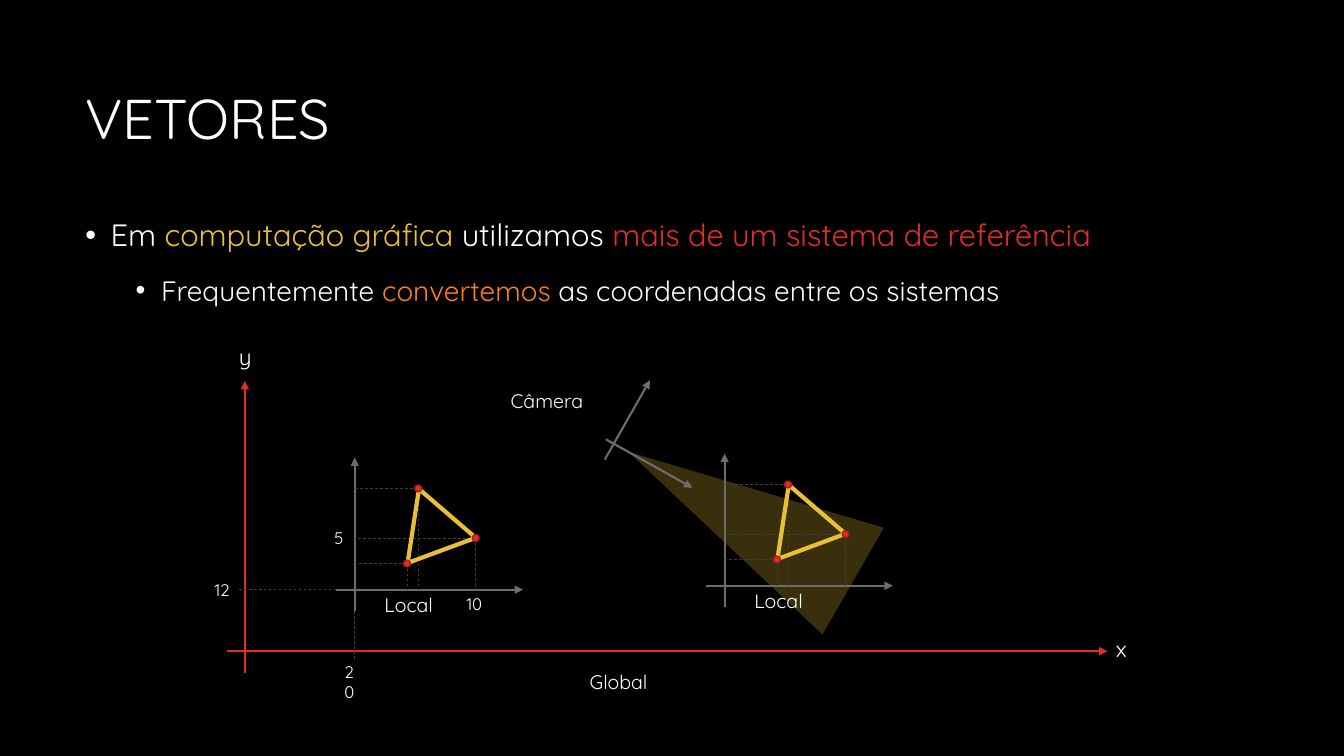
from lxml import etree
from pptx import Presentation
from pptx.dml.color import RGBColor
from pptx.enum.dml import MSO_LINE
from pptx.enum.shapes import MSO_CONNECTOR, MSO_SHAPE
from pptx.enum.text import MSO_ANCHOR, MSO_AUTO_SIZE, PP_ALIGN
from pptx.oxml.ns import qn
from pptx.util import Cm, Pt

BLACK = RGBColor(0x00, 0x00, 0x00)
WHITE = RGBColor(0xFF, 0xFF, 0xFF)
YELLOW = RGBColor(0xE9, 0xBF, 0x35)
RED = RGBColor(0xDF, 0x2E, 0x28)
DARK_RED = RGBColor(0xAC, 0x1E, 0x1A)
ORANGE = RGBColor(0xFE, 0x80, 0x1A)
GRAY = RGBColor(0x6D, 0x6D, 0x6D)
DARK_GRAY = RGBColor(0x40, 0x40, 0x40)

TRIANGLE = MSO_SHAPE.ISOSCELES_TRIANGLE
OVAL = MSO_SHAPE.OVAL
STRAIGHT = MSO_CONNECTOR.STRAIGHT
DASH = MSO_LINE.DASH
MIDDLE = MSO_ANCHOR.MIDDLE
TOP = MSO_ANCHOR.TOP
GROW = MSO_AUTO_SIZE.SHAPE_TO_FIT_TEXT
FIXED = MSO_AUTO_SIZE.NONE
LEFT = PP_ALIGN.LEFT
CENTER = PP_ALIGN.CENTER

FONT = "Quicksand"
VERTICES = [(1.32, -0.66), (3.05, -1.3), (1.6, -2.55)]
DOT = 0.17


class VectorSlide:
    """Draws text, axes and figures on one slide in a shared style."""

    def __init__(self, slide):
        self.slide = slide
        self.shapes = slide.shapes
        slide.background.fill.solid()
        slide.background.fill.fore_color.rgb = BLACK

    def frame(self, x, y, width, height, wrap=True, anchor=TOP, fit=FIXED):
        frame = self.shapes.add_textbox(Cm(x), Cm(y), Cm(width), Cm(height)).text_frame
        frame.word_wrap = wrap
        frame.vertical_anchor = anchor
        frame.auto_size = fit
        return frame

    def put_text(self, paragraph, *pieces, size, align=LEFT, spacing=None,
                 before=None, bullet_at=None):
        if bullet_at is not None:
            properties = paragraph._p.get_or_add_pPr()
            properties.set("marL", str(int(Cm(bullet_at))))
            properties.set("indent", str(int(Cm(-0.64))))
            etree.SubElement(properties, qn("a:buFont")).set("typeface", "Arial")
            etree.SubElement(properties, qn("a:buChar")).set("char", "•")
        paragraph.alignment = align
        paragraph.line_spacing = spacing
        if before is not None:
            paragraph.space_before = Pt(before)
        for text, color in pieces:
            run = paragraph.add_run()
            run.text = text
            run.font.name = FONT
            run.font.size = Pt(size)
            run.font.color.rgb = color

    def label(self, text, x, y, width, size, align=LEFT, wrap=False):
        frame = self.frame(x, y, width, size * 0.06, wrap=wrap, fit=GROW)
        self.put_text(frame.paragraphs[0], (text, WHITE), size=size, align=align)

    def line(self, start, end, color, width, dash=None, arrow=False):
        ends = [Cm(value) for value in (*start, *end)]
        connector = self.shapes.add_connector(STRAIGHT, *ends)
        connector.line.color.rgb = color
        connector.line.width = Pt(width)
        if dash is not None:
            connector.line.dash_style = dash
        if arrow:
            outline = connector.line._get_or_add_ln()
            etree.SubElement(outline, qn("a:tailEnd")).set("type", "triangle")
        etree.SubElement(connector._element.spPr, qn("a:effectLst"))

    def axis(self, start, end, color=GRAY):
        self.line(start, end, color, 1.5, arrow=True)

    def guide(self, start, end):
        self.line(start, end, DARK_GRAY, 0.5, dash=DASH)

    def figure(self, kind, x, y, width, height, rotation=0, fill=None,
               alpha=None, outline=None, weight=1):
        figure = self.shapes.add_shape(kind, Cm(x), Cm(y), Cm(width), Cm(height))
        figure.shadow.inherit = False
        figure.rotation = rotation
        if fill is None:
            figure.fill.background()
        else:
            figure.fill.solid()
            figure.fill.fore_color.rgb = fill
        if alpha is not None:
            color = figure._element.spPr.find(".//" + qn("a:srgbClr"))
            etree.SubElement(color, qn("a:alpha")).set("val", str(alpha * 1000))
        if outline is None:
            figure.line.fill.background()
        else:
            figure.line.color.rgb = outline
            figure.line.width = Pt(weight)

    def local_system(self, x, y):
        self.axis((x, y + 0.53), (x, y - 3.33))
        self.axis((x - 0.47, y), (x + 4.24, y))
        for dx, dy in VERTICES:
            self.guide((x + dx, y + dy), (x + dx, y))
            self.guide((x + dx, y + dy), (x, y + dy))
        self.figure(TRIANGLE, x + 0.99, y - 2.59, 1.83, 1.65, rotation=339.7,
                    outline=YELLOW, weight=3)
        for dx, dy in VERTICES:
            self.figure(OVAL, x + dx - DOT / 2, y + dy - DOT / 2, DOT, DOT,
                        fill=RED, outline=DARK_RED)
        self.label("Local", x + 0.5, y - 0.04, 1.83, 14)


def main():
    deck = Presentation()
    deck.slide_width, deck.slide_height = Cm(33.87), Cm(19.05)
    page = VectorSlide(deck.slides.add_slide(deck.slide_layouts[6]))

    title = page.frame(1.9, 1.27, 30.05, 3.58, anchor=MIDDLE)
    page.put_text(title.paragraphs[0], ("VETORES", WHITE), size=40, spacing=0.9)

    body = page.frame(1.9, 5.23, 30.05, 11.91)
    page.put_text(body.paragraphs[0], ("Em ", WHITE), ("computação gráfica ", YELLOW),
                  ("utilizamos ", WHITE), ("mais de um sistema de referência", RED),
                  size=22, spacing=1.1, bullet_at=0.64)
    conversion = body.add_paragraph()
    conversion.level = 1
    page.put_text(conversion, ("Frequentemente ", WHITE), ("convertemos", ORANGE),
                  (" as coordenadas entre os sistemas", WHITE),
                  size=20, spacing=1.1, before=12, bullet_at=1.91)

    page.figure(TRIANGLE, 17.12, 9.75, 3.1, 6.53, rotation=299.9, fill=YELLOW, alpha=25)
    page.axis((6.17, 16.97), (6.17, 9.6), RED)
    page.axis((5.72, 16.41), (27.91, 16.41), RED)
    page.local_system(8.94, 14.86)
    page.local_system(18.26, 14.76)
    page.axis((15.24, 11.58), (16.38, 9.58))
    page.axis((15.27, 11.07), (17.45, 12.29))
    page.guide((8.94, 15.39), (8.94, 16.64))
    page.guide((8.48, 14.86), (5.99, 14.86))

    page.label("x", 27.86, 15.88, 0.79, 16, align=CENTER)
    page.label("y", 5.77, 8.51, 0.81, 16, align=CENTER)
    page.label("Global", 14.61, 16.76, 2.16, 14)
    page.label("Câmera", 12.62, 9.68, 2.54, 14)
    page.label("10", 11.51, 14.83, 0.99, 12)
    page.label("5", 8.18, 13.18, 0.74, 12)
    page.label("20", 8.43, 16.54, 0.9, 12, wrap=True)
    page.label("12", 5.16, 14.48, 0.99, 12)

    deck.save("out.pptx")


if __name__ == "__main__":
    main()
